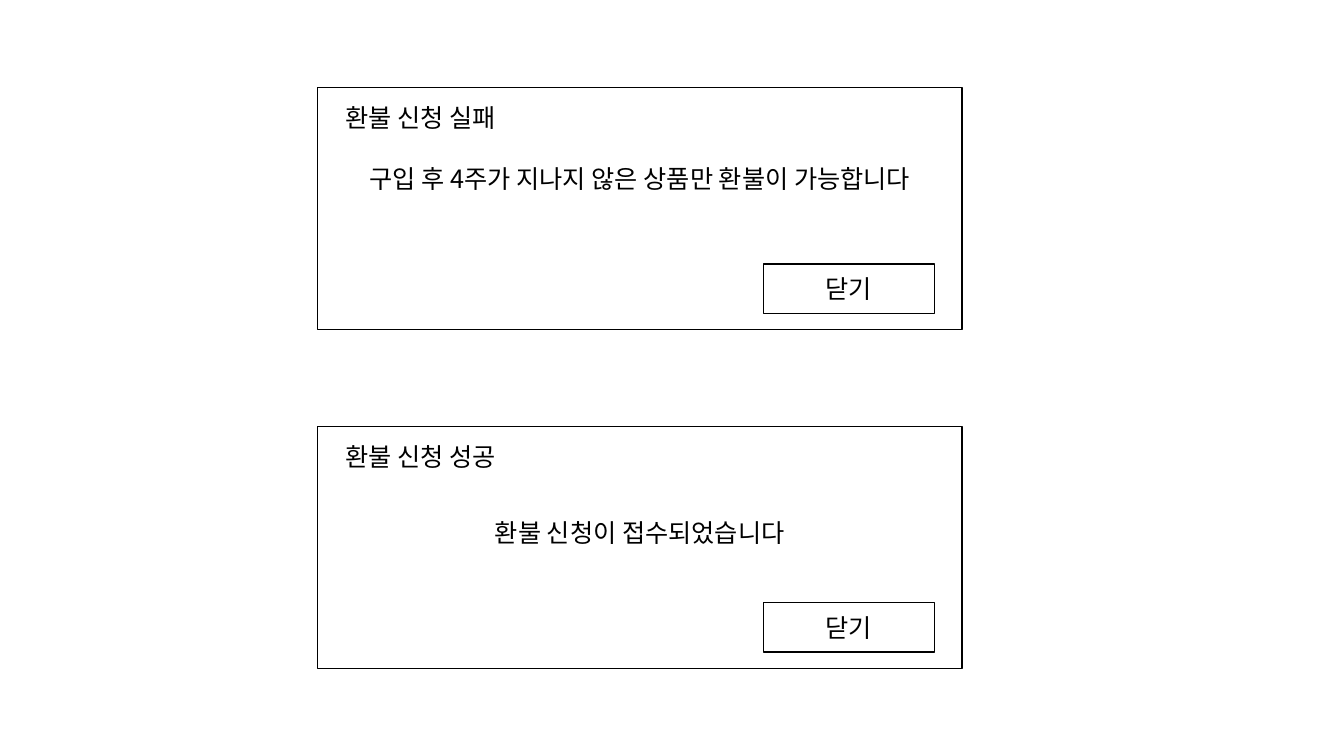
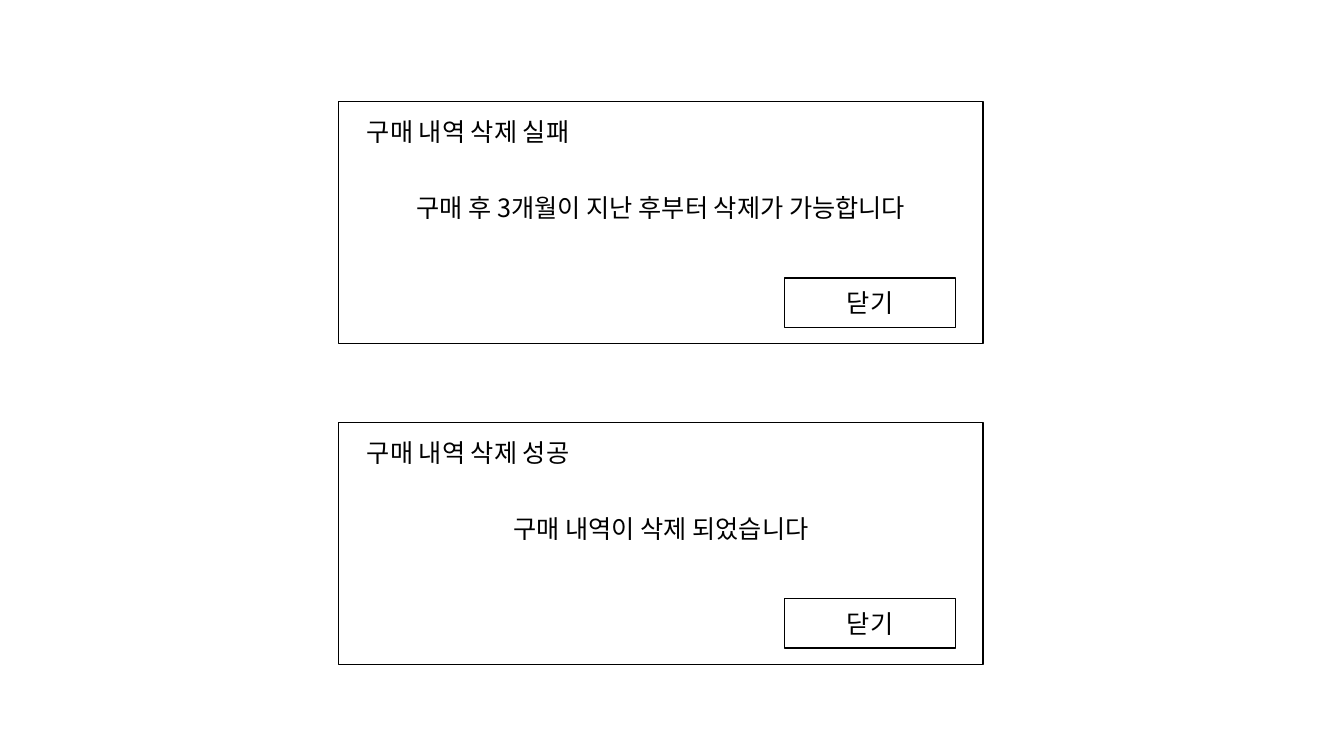
from pptx import Presentation
from pptx.dml.color import RGBColor
from pptx.enum.shapes import MSO_SHAPE
from pptx.enum.text import MSO_ANCHOR, PP_ALIGN
from pptx.oxml.ns import qn
from pptx.util import Inches, Pt
from lxml import etree

FONT, SIZE = "Noto Sans CJK KR", 18
INK, PAPER = "000000", "FFFFFF"
DIALOG_W, DIALOG_H = 6.39, 2.4
LINE_H = 0.3  # height by which a message is lifted per step

prs = Presentation()
prs.slide_width, prs.slide_height = Inches(13.33), Inches(7.5)


def write(sp, text, align):
    tf = sp.text_frame
    tf.word_wrap = True
    tf.text = text
    p = tf.paragraphs[0]
    p.alignment = align
    r = p.runs[0]
    r.font.name, r.font.size = FONT, Pt(SIZE)
    r.font.color.rgb = RGBColor.from_string(INK)
    etree.SubElement(r.font._element, qn("a:ea")).set("typeface", FONT)


def add_box(s, left, top, width, height, text):
    sp = s.shapes.add_shape(MSO_SHAPE.RECTANGLE, Inches(left), Inches(top),
                            Inches(width), Inches(height))
    sp.shadow.inherit = False
    sp.fill.solid()
    sp.fill.fore_color.rgb = RGBColor.from_string(PAPER)
    sp.line.color.rgb = RGBColor.from_string(INK)
    sp.line.width = Pt(1)
    sp.text_frame.vertical_anchor = MSO_ANCHOR.MIDDLE
    write(sp, text, PP_ALIGN.CENTER)
    return sp


# Per slide: left edge, then dialogs as (top, heading, message, lift steps)
slides = [
    (3.15, [
        (0.87, "환불 신청 실패", "구입 후 4주가 지나지 않은 상품만 환불이 가능합니다", 2),
        (4.23, "환불 신청 성공", "환불 신청이 접수되었습니다", 1),
    ]),
    (3.36, [
        (4.19, "구매 내역 삭제 성공", "구매 내역이 삭제 되었습니다", 1),
        (1.01, "구매 내역 삭제 실패", "구매 후 3개월이 지난 후부터 삭제가 가능합니다", 1),
    ]),
]

for left, dialogs in slides:
    s = prs.slides.add_slide(prs.slide_layouts[6])
    for top, heading, message, lift in dialogs:
        # Dialog frame with its message above the middle
        frame = add_box(s, left, top, DIALOG_W, DIALOG_H, message)
        frame.text_frame.margin_bottom = Inches(0.05 + lift * LINE_H)

        # Heading
        title = s.shapes.add_textbox(Inches(left + 0.18), Inches(top + 0.1),
                                     Inches(5.09), Inches(0.4))
        write(title, heading, PP_ALIGN.LEFT)

        # Close button
        add_box(s, left + 4.42, top + 1.75, 1.7, 0.49, "닫기")

prs.save("out.pptx")
